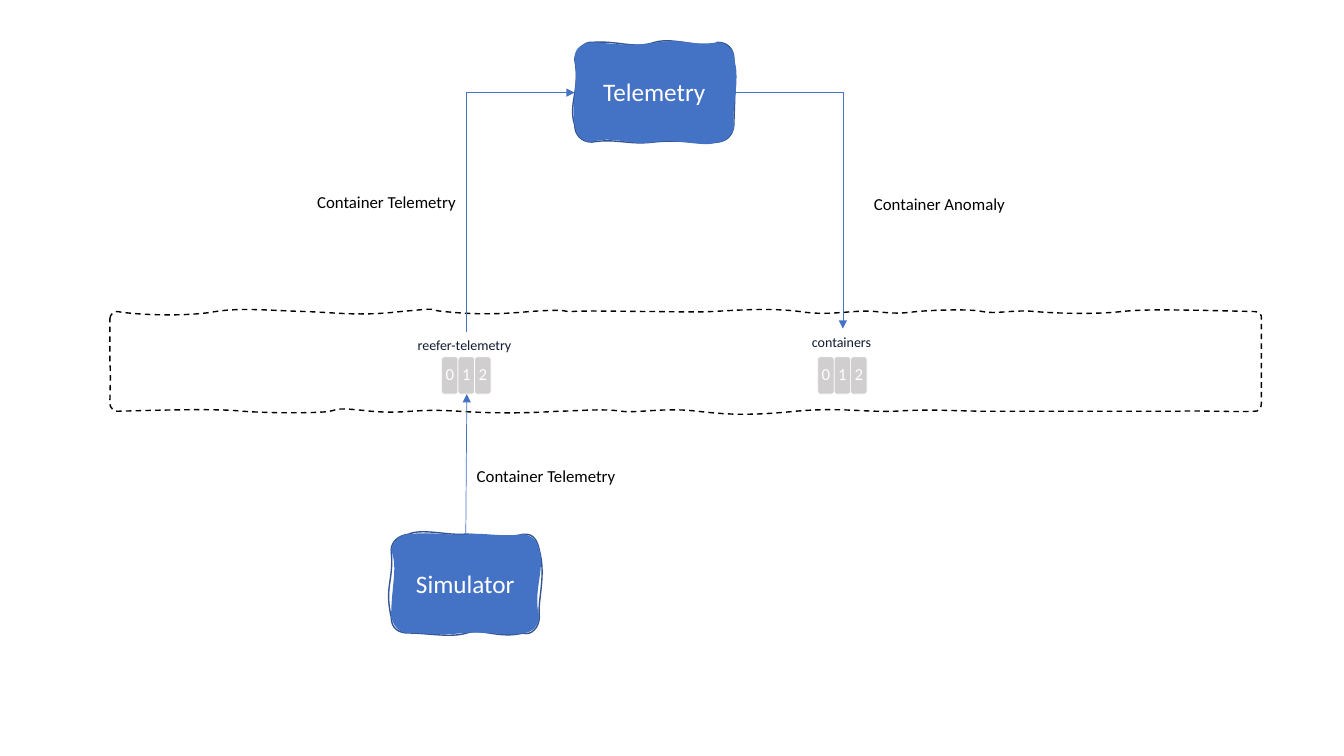
from lxml import etree
from pptx import Presentation
from pptx import util as u
from pptx.dml.color import RGBColor
from pptx.enum import dml, shapes, text
from pptx.oxml import ns

# The slide is a grid of 1333 columns and 750 rows.
COLS, ROWS = 1333, 750
CELL = u.Inches(13.33) // COLS
HUES = {"box": "4472C4", "edge": "325491", "part": "D0CECE",
        "white": "FFFFFF", "black": "000000", "topic": "101C32"}

# Hand-drawn outlines, in cells from the box corner: a start, then Bezier curves.
SIM_EDGE = """0 16  0 7 8 1 17 0  30 -6 55 1 71 0  88 -1 108 6 131 0
 141 -1 145 6 147 16  154 42 145 65 147 82  147 92 139 101 131 98
 107 104 90 93 75 98  59 103 37 98 17 98  8 98 0 94 0 82  -7 51 3 46 0 16"""
SIM_FILL = """0 16  1 9 8 0 17 0  40 -3 61 2 76 0  92 -2 107 3 131 0
 141 1 146 9 147 16  153 33 140 59 147 82  146 89 141 98 131 98
 117 102 97 96 71 98  46 101 38 98 17 98  7 98 2 90 0 82  0 52 7 33 0 16"""
TEL_EDGE = """0 17  1 9 9 -1 17 0  44 -2 59 7 79 0  100 -6 128 8 142 0
 151 0 158 6 158 17  160 49 158 67 158 82  157 92 151 98 142 99
 128 101 103 96 78 99  53 102 41 95 17 99  7 99 0 92 0 82  -7 61 6 47 0 17"""
TEL_FILL = """0 17  -1 7 6 1 17 0  32 0 51 5 82 0  112 -4 115 4 142 0
 150 0 160 9 158 17  165 35 155 69 158 82  159 89 149 100 142 99
 128 105 102 95 79 99  56 103 37 92 17 99  5 99 1 89 0 82  -4 61 4 41 0 17"""
BAND_EDGE = """0 7  0 3 4 0 7 0  31 4 79 5 105 0  131 -4 158 -1 192 0
 226 1 246 5 289 0  333 -4 310 -2 331 0  351 2 375 4 417 0  460 -3 448 1 459 0
 469 -1 518 0 534 0  550 0 578 1 598 0  618 -1 653 -4 684 0  715 5 735 -2 759 0
 784 3 790 1 801 0  811 -1 852 -3 865 0  878 3 895 -2 917 0  939 2 978 3 1004 0
 1030 -3 1084 -1 1135 0  1139 0 1143 3 1142 7  1142 24 1142 32 1142 47
 1142 62 1142 75 1142 92  1142 95 1139 100 1135 99  1118 100 1076 98 1060 99
 1044 99 1006 99 962 99  919 99 909 99 865 99  821 98 809 97 778 99
 748 100 723 95 680 99  638 103 617 103 583 99  549 95 525 101 507 99
 490 96 459 99 444 99  428 100 393 102 346 99  299 96 296 102 259 99
 223 95 228 97 218 99  208 101 159 101 132 99  104 96 48 98 7 99
 4 99 0 95 0 92  0 75 1 63 0 51  0 39 0 25 0 7"""


def cells(*nums):
    return [u.Emu(int(n * CELL)) for n in nums]


def hue(name):
    return RGBColor.from_string(HUES[name])


def sub(node, tag, **attrs):
    return etree.SubElement(node, ns.qn(tag), attrs)


def write(shape, words, size, color, align=None):
    par = shape.text_frame.paragraphs[0]
    par.text = words
    par.alignment = align
    par.font.size, par.font.name = u.Pt(size), "Calibri"
    par.font.color.rgb = hue(color)
    return par


def sketch(tree, box, paths):
    """Add a freeform whose paths are (outline, attributes) pairs."""
    x, y, w, h = box
    pen = tree.build_freeform(x, y, scale=CELL)
    pen.add_line_segments([(x + w, y), (x + w, y + h), (x, y + h)])
    shape = pen.convert_to_shape()
    shape.shadow.inherit = False
    plan = next(shape.element.iter(ns.qn("a:pathLst")))
    plan.clear()
    for outline, attrs in paths:
        nums = [int(n) * 100 for n in outline.split()]
        dots = list(zip(nums[::2], nums[1::2]))
        path = sub(plan, "a:path", w=str(w * 100), h=str(h * 100), **attrs)
        steps = [("a:moveTo", dots[:1])]
        steps += [("a:cubicBezTo", dots[i:i + 3]) for i in range(1, len(dots), 3)]
        for tag, group in steps:
            step = sub(path, tag)
            for px, py in group:
                sub(step, "a:pt", x=str(px), y=str(py))
        sub(path, "a:close")
    return shape


def service(tree, box, name, edge, fill):
    shape = sketch(tree, box, [(edge, {"fill": "none"}), (fill, {"stroke": "0"})])
    shape.fill.solid()
    shape.fill.fore_color.rgb = hue("box")
    shape.line.color.rgb = hue("edge")
    shape.line.width = u.Pt(1)
    shape.text_frame.vertical_anchor = text.MSO_ANCHOR.MIDDLE
    write(shape, name, 18, "white", text.PP_ALIGN.CENTER)


def band(tree, box):
    shape = sketch(tree, box, [(BAND_EDGE, {})])
    shape.fill.background()
    shape.line.color.rgb = hue("black")
    shape.line.width = u.Pt(1)
    shape.line.dash_style = dml.MSO_LINE.DASH


def label(tree, box, words, size=12, color="black", align=None, wrap=False):
    shape = tree.add_textbox(*cells(*box))
    shape.text_frame.word_wrap = wrap
    write(shape, words, size, color, align)


def topic(tree, box, name, wide, rise):
    """Three numbered partitions in the box, under a centred name."""
    x, y, w, h = box
    group = tree.add_group_shape().shapes
    for i in range(3):
        part = group.add_shape(shapes.MSO_SHAPE.ROUNDED_RECTANGLE,
                               *cells(x + i * w / 3, y, w / 3, h))
        part.shadow.inherit = False
        part.fill.solid()
        part.fill.fore_color.rgb = hue("part")
        part.line.color.rgb = hue("white")
        part.line.width = u.Pt(0.5)
        frame = part.text_frame
        frame.margin_left = frame.margin_right = 0
        frame.margin_top = frame.margin_bottom = 0
        frame.vertical_anchor = text.MSO_ANCHOR.MIDDLE
        par = write(part, str(i), 12, "white", text.PP_ALIGN.CENTER)
        par.line_spacing = 0.9
    label(group, (x + (w - wide) / 2, y - rise, wide, 27), name, 10, "topic")


def arrow(tree, start, end, bend=None):
    """A straight arrow, or one that turns once: bend is "across" or "up" first."""
    (x1, y1), (x2, y2) = start, end
    if bend == "up":  # laid out a quarter turn back, then rotated about its centre
        mx, my = (x1 + x2) / 2, (y1 + y2) / 2
        dx, dy = (x2 - x1) / 2, (y1 - y2) / 2
        x1, y1, x2, y2 = mx + dy, my + dx, mx - dy, my - dx
    kind = shapes.MSO_CONNECTOR.ELBOW if bend else shapes.MSO_CONNECTOR.STRAIGHT
    line = tree.add_connector(kind, *cells(x1, y1, x2, y2))
    line.line.color.rgb = hue("box")
    line.line.width = u.Pt(0.5)
    props = line.element.spPr
    if bend:
        props.find(ns.qn("a:prstGeom")).set("prst", "bentConnector2")
    if bend == "up":
        props.find(ns.qn("a:xfrm")).set("rot", "5400000")
    sub(props.find(ns.qn("a:ln")), "a:tailEnd", type="triangle")
    sub(props, "a:effectLst")


def flow(tree):
    service(tree, (388, 530, 147, 98), "Simulator", SIM_EDGE, SIM_FILL)
    service(tree, (570, 42, 158, 98), "Telemetry", TEL_EDGE, TEL_FILL)
    band(tree, (109, 309, 1142, 98))
    topic(tree, (438, 354, 49, 37), "reefer-telemetry", 116, 25)
    topic(tree, (811, 354, 49, 37), "containers", 80, 28)
    label(tree, (463, 457, 159, 30), "Container Telemetry")
    label(tree, (292, 185, 170, 30), "Container Telemetry",
          align=text.PP_ALIGN.RIGHT, wrap=True)
    label(tree, (857, 187, 170, 30), "Container Anomaly", wrap=True)
    arrow(tree, (462, 530), (463, 391))
    arrow(tree, (728, 92), (836, 326), "across")
    arrow(tree, (463, 329), (570, 92), "up")


def main():
    deck = Presentation()
    deck.slide_width, deck.slide_height = cells(COLS, ROWS)
    flow(deck.slides.add_slide(deck.slide_layouts[6]).shapes)
    deck.save("out.pptx")


if __name__ == "__main__":
    main()
